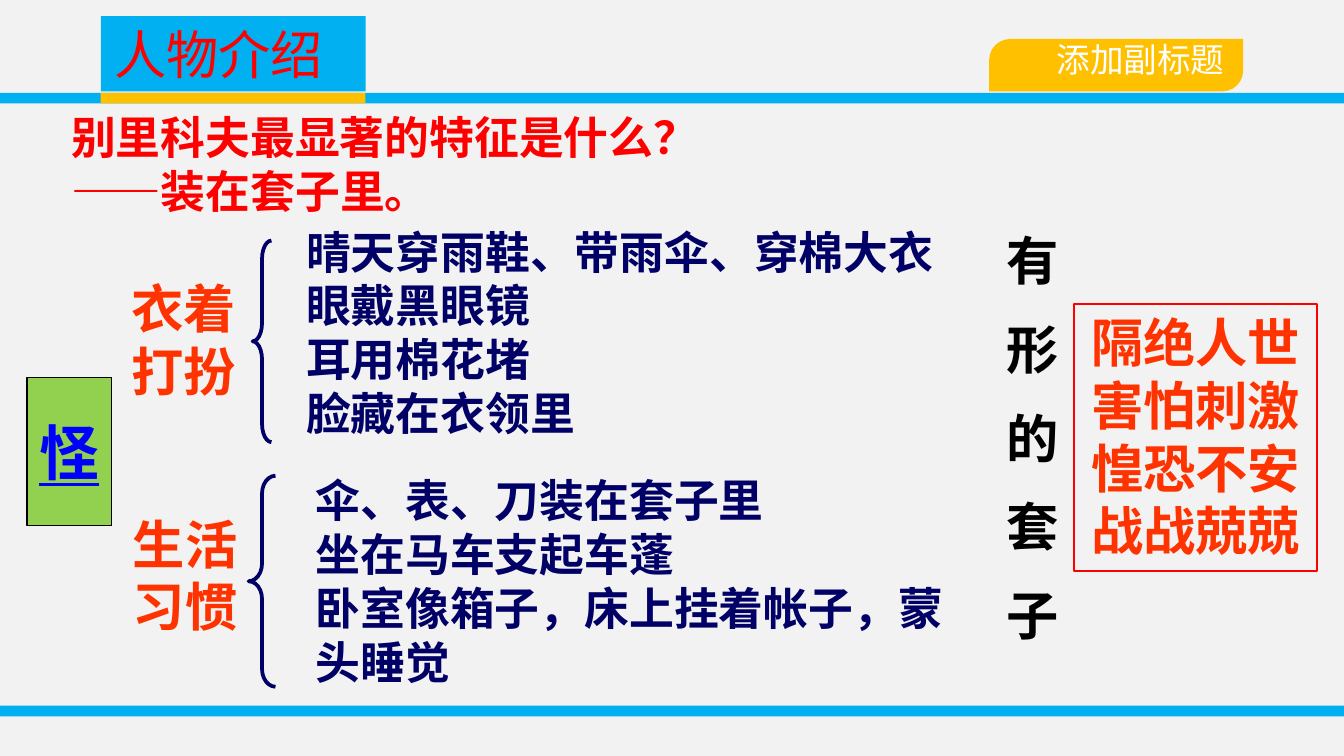
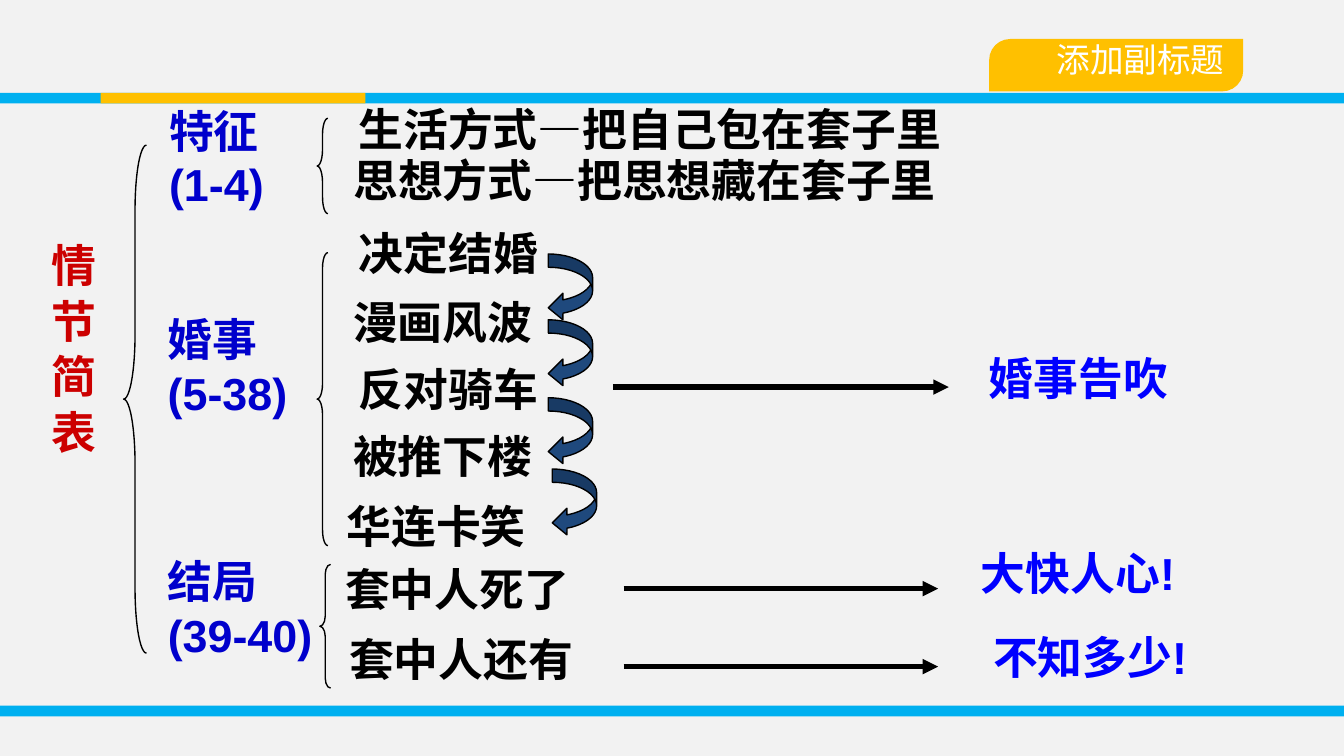
from lxml import etree
from pptx import Presentation
from pptx.dml.color import RGBColor
from pptx.enum import shapes, text
from pptx.oxml import ns
from pptx.util import Inches, Pt

HUE = {
    "back": "F2F2F2", "sky": "00B0F0", "gold": "FFC000", "white": "FFFFFF",
    "black": "000000", "red": "FF0000", "coral": "FF3300", "brick": "CC0000",
    "navy": "000066", "blue": "0000FF", "royal": "0000CC", "steel": "1F497D",
    "lime": "92D050",
}
KIND = shapes.MSO_SHAPE
ALIGN = text.PP_ALIGN
ANCHOR = text.MSO_ANCHOR


def rgb(name):
    return RGBColor.from_string(HUE[name])


def write(shape, lines, size=24, color="black", font="Arial", bold=True,
          under=None, align=ALIGN.LEFT, anchor=ANCHOR.TOP, wrap=True,
          left=0.1, right=0.1, vert=False, track=0):
    """Fill a shape with one paragraph per line; track is letter spacing in points."""
    frame = shape.text_frame
    frame.word_wrap = wrap
    frame.vertical_anchor = anchor
    frame.margin_left, frame.margin_right = Inches(left), Inches(right)
    if vert:
        frame._txBody.bodyPr.set("vert", "eaVert")
    frame.text = lines
    for para in frame.paragraphs:
        para.alignment = align
        for run in para.runs:
            face = run.font
            face.name, face.size = font, Pt(size)
            face.bold, face.underline = bold, under
            face.color.rgb = rgb(color)
            if track:
                run._r.get_or_add_rPr().set("spc", str(round(track * 100)))


def label(slide, box, lines, **style):
    shape = slide.shapes.add_textbox(*map(Inches, box))
    write(shape, lines, **style)


def block(slide, kind, box, fill=None, line=None, width=0.75, adjust=()):
    shape = slide.shapes.add_shape(kind, *map(Inches, box))
    shape.shadow.inherit = False
    if fill:
        shape.fill.solid()
        shape.fill.fore_color.rgb = rgb(fill)
    else:
        shape.fill.background()
    if line:
        shape.line.color.rgb = rgb(line)
        shape.line.width = Pt(width)
    else:
        shape.line.fill.background()
    for i, value in enumerate(adjust):
        shape.adjustments[i] = value
    return shape


def brace(slide, box, bend, color="black", width=0.75):
    block(slide, KIND.LEFT_BRACE, box, None, color, width, (bend, 0.5))


def arrow(slide, start, end, y):
    line = slide.shapes.add_connector(
        shapes.MSO_CONNECTOR.STRAIGHT, *map(Inches, (start, y, end, y)))
    line.line.color.rgb = rgb("black")
    line.line.width = Pt(2.75)
    etree.SubElement(line.line._get_or_add_ln(), ns.qn("a:tailEnd"), type="triangle")
    etree.SubElement(line._element.spPr, ns.qn("a:effectLst"))


def page(deck, layout):
    """Add a slide with the shared background, bands and subtitle tab."""
    slide = deck.slides.add_slide(deck.slide_layouts[layout])
    slide.background.fill.solid()
    slide.background.fill.fore_color.rgb = rgb("back")
    for y in (5.25, 0.69):
        block(slide, KIND.RECTANGLE, (0, y, 10, 0.08), "sky")
    block(slide, KIND.RECTANGLE, (0.75, 0.69, 1.97, 0.08), "gold")
    block(slide, KIND.ROUND_2_DIAG_RECTANGLE, (7.36, 0.29, 1.89, 0.39),
          "gold", adjust=(0.4, 0))
    label(slide, (7.36, 0.24, 1.89, 0.4), "添加副标题", size=18, color="white",
          bold=False, align=ALIGN.RIGHT, right=0.14)
    return slide


def head(slide, words):
    title = slide.shapes.title
    title.left, title.top, title.width, title.height = map(
        Inches, (0.75, 0.12, 1.97, 0.56))
    title.fill.solid()
    title.fill.fore_color.rgb = rgb("sky")
    write(title, words, size=28, color="red", bold=False, anchor=ANCHOR.MIDDLE)


def person(deck):
    slide = page(deck, 5)
    head(slide, "人物介绍")
    label(slide, (0.28, 0.77, 8.47, 0.91),
          "别里科夫最显著的特征是什么？\n——装在套子里。", color="red", left=0.25)

    odd = block(slide, KIND.RECTANGLE, (0.2, 2.81, 0.63, 1.1), "lime", "black")
    write(odd, "怪", size=32, color="blue", under=True, align=ALIGN.CENTER,
          anchor=ANCHOR.MIDDLE, wrap=False)

    for box, words in (((0.88, 2.01, 1.13, 1.04), "衣着\n打扮"),
                       ((0.89, 3.76, 1.22, 1.04), "生活\n习惯")):
        label(slide, box, words, size=28, color="coral")
    brace(slide, (1.88, 1.79, 0.14, 1.5), 0.97, "navy", 2)
    brace(slide, (1.85, 3.54, 0.2, 1.57), 0.66, "navy", 2)
    label(slide, (2.18, 1.62, 5.5, 1.72),
          "晴天穿雨鞋、带雨伞、穿棉大衣\n眼戴黑眼镜\n耳用棉花堵\n脸藏在衣领里",
          color="navy")
    label(slide, (2.25, 3.47, 4.99, 1.72),
          "伞、表、刀装在套子里\n坐在马车支起车蓬\n卧室像箱子，床上挂着帐子，蒙头睡觉",
          color="navy")

    fear = block(slide, KIND.RECTANGLE, (7.99, 2.26, 1.81, 1.99), None, "red", 1.25)
    write(fear, "隔绝人世\n害怕刺激\n惶恐不安\n战战兢兢", size=28, color="coral",
          align=ALIGN.CENTER)
    label(slide, (7.28, 1.65, 0.67, 3.32), "有 形 的 套 子", size=28,
          font="Calibri", vert=True, track=6.5)


def plot(deck):
    slide = page(deck, 6)
    label(slide, (0.18, 1.71, 0.61, 2.21), "情 节 简 表", color="brick", vert=True)
    for x, y, wide, words in ((1.16, 0.72, 1.25, "特征(1-4)"),
                              (1.15, 2.27, 1.17, "婚事(5-38)"),
                              (1.15, 4.07, 1.42, "结局(39-40)")):
        label(slide, (x, y, wide, 0.91), words, color="royal")

    for box, bend in (((0.92, 1.08, 0.17, 3.78), 2.83),
                      ((2.36, 0.88, 0.08, 0.71), 1.5),
                      ((2.36, 1.88, 0.08, 2.18), 1.42),
                      ((2.38, 4.2, 0.08, 0.92), 0.92)):
        brace(slide, box, bend)

    for x, y, wide, words in ((2.57, 0.71, 5, "生活方式—把自己包在套子里"),
                              (2.53, 1.09, 5.08, "思想方式—把思想藏在套子里"),
                              (2.53, 2.14, 2.33, "漫画风波"),
                              (2.57, 2.64, 1.58, "反对骑车"),
                              (2.53, 3.14, 1.83, "被推下楼"),
                              (2.48, 3.66, 2.08, "华连卡笑"),
                              (2.47, 4.13, 2.67, "套中人死了"),
                              (2.5, 4.65, 2.5, "套中人还有")):
        label(slide, (x, y, wide, 0.5), words)
    label(slide, (2.57, 1.63, 2.42, 0.5), "决定结婚", font="Times New Roman")

    for x, y in ((4.08, 1.89), (4.08, 2.38), (4.08, 2.96), (4.11, 3.49)):
        block(slide, KIND.CURVED_LEFT_ARROW, (x, y, 0.33, 0.5), "steel", "black",
              adjust=(0.3, 0.6, 0.33))

    for start, end, y in ((4.56, 7.06, 2.88), (4.64, 6.98, 4.38), (4.64, 6.98, 4.96)):
        arrow(slide, start, end, y)
    for x, y, wide, words in ((7.26, 2.56, 2.17, "婚事告吹"),
                              (7.2, 4.01, 2.08, "大快人心!"),
                              (7.29, 4.64, 1.98, "不知多少!")):
        label(slide, (x, y, wide, 0.5), words, color="blue")


def main():
    deck = Presentation()
    deck.slide_width = Inches(10)
    deck.slide_height = deck.slide_width * 9 // 16
    person(deck)
    plot(deck)
    deck.save("out.pptx")


if __name__ == "__main__":
    main()
